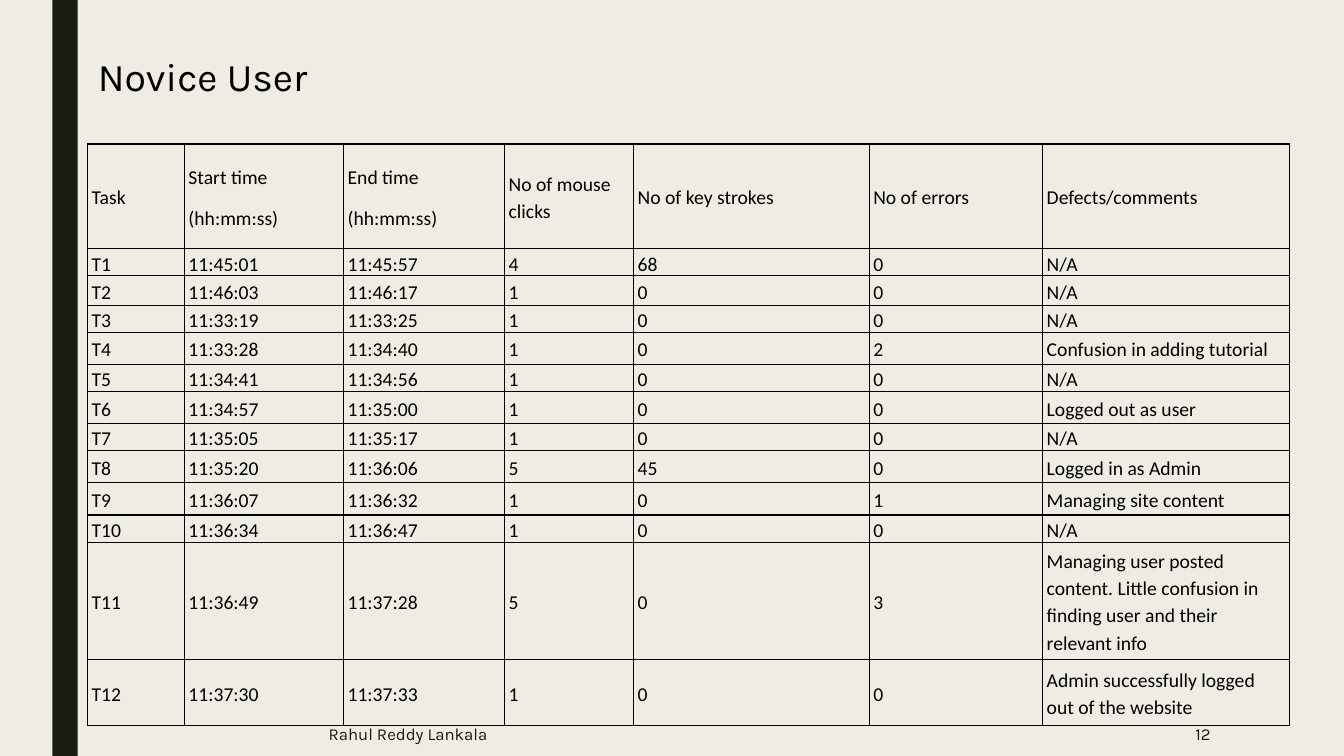
import pptx
import pptx.util
import pptx.dml.color
import pptx.enum.shapes
import pptx.enum.text
import pptx.oxml
import pptx.oxml.ns

Cm = pptx.util.Cm
Pt = pptx.util.Pt
Align = pptx.enum.text.PP_ALIGN
Anchor = pptx.enum.text.MSO_ANCHOR
Fit = pptx.enum.text.MSO_AUTO_SIZE

COLORS = {"paper": "EFEDE3", "bar": "191B0E", "ink": "000000"}

WIDTHS = [2.44, 4.01, 4.06, 3.25, 5.94, 4.37, 6.22]
HEIGHTS = [2.64, 0.61, 0.74, 0.64, 0.81, 0.64, 0.81, 0.64, 0.81, 0.81, 0.53, 2.95, 1.68]
HEADER = ["Task", "Start time\n(hh:mm:ss)", "End time\n(hh:mm:ss)", "No of mouse clicks",
          "No of key strokes", "No of errors", "Defects/comments"]
TASKS = [
    ("11:45:01", "11:45:57", 4, 68, 0, "N/A"),
    ("11:46:03", "11:46:17", 1, 0, 0, "N/A"),
    ("11:33:19", "11:33:25", 1, 0, 0, "N/A"),
    ("11:33:28", "11:34:40", 1, 0, 2, "Confusion in adding tutorial"),
    ("11:34:41", "11:34:56", 1, 0, 0, "N/A"),
    ("11:34:57", "11:35:00", 1, 0, 0, "Logged out as user"),
    ("11:35:05", "11:35:17", 1, 0, 0, "N/A"),
    ("11:35:20", "11:36:06", 5, 45, 0, "Logged in as Admin"),
    ("11:36:07", "11:36:32", 1, 0, 1, "Managing site content"),
    ("11:36:34", "11:36:47", 1, 0, 0, "N/A"),
    ("11:36:49", "11:37:28", 5, 0, 3,
     "Managing user posted content. Little confusion in finding user and their relevant info"),
    ("11:37:30", "11:37:33", 1, 0, 0, "Admin successfully logged out of the website"),
]


def paint(color):
    return pptx.dml.color.RGBColor.from_string(COLORS[color])


def write(frame, text, font="Karla", size=12, color="ink", align=Align.LEFT, line=None, after=None):
    frame.text = text
    frame.word_wrap = True
    for para in frame.paragraphs:
        para.alignment = align
        if line:
            para.line_spacing = line
        if after:
            para.space_after = Pt(after)
        for run in para.runs:
            run.font.name = font
            run.font.size = Pt(size)
            run.font.bold = False
            run.font.color.rgb = paint(color)


def border(cell):
    props = cell._tc.get_or_add_tcPr()
    for place, side in enumerate(("lnL", "lnR", "lnT", "lnB")):
        props.insert(place, pptx.oxml.parse_xml(
            f'<a:{side} {pptx.oxml.ns.nsdecls("a")} w="12700"><a:solidFill>'
            f'<a:srgbClr val="{COLORS["ink"]}"/></a:solidFill></a:{side}>'))


def add_bar(slide, left, top, width, height):
    bar = slide.shapes.add_shape(pptx.enum.shapes.MSO_SHAPE.RECTANGLE,
                                 Cm(left), Cm(top), Cm(width), Cm(height))
    bar.shadow.inherit = False
    bar.fill.solid()
    bar.fill.fore_color.rgb = paint("bar")
    bar.line.fill.background()


def add_title(slide, left, top, width, height):
    title = slide.shapes.title
    title.left, title.top = Cm(left), Cm(top)
    title.width, title.height = Cm(width), Cm(height)
    write(title.text_frame, "Novice User", size=28)
    title.text_frame.vertical_anchor = Anchor.TOP
    title.text_frame.auto_size = Fit.SHAPE_TO_FIT_TEXT


def add_log(slide, left, top, width, height):
    rows = [HEADER] + [(f"T{number}", *task) for number, task in enumerate(TASKS, 1)]
    table = slide.shapes.add_table(len(rows), len(HEADER), Cm(left), Cm(top),
                                   Cm(width), Cm(height)).table
    table.first_row = table.horz_banding = False
    for column, size in zip(table.columns, WIDTHS):
        column.width = Cm(size)
    for row, size, values in zip(table.rows, HEIGHTS, rows):
        row.height = Cm(size)
        for cell, value in zip(row.cells, values):
            cell.fill.background()
            border(cell)
            cell.margin_left = cell.margin_right = Cm(0.1)
            cell.margin_top = cell.margin_bottom = 0
            cell.vertical_anchor = Anchor.MIDDLE
            write(cell.text_frame, str(value), font="Calibri", size=14, line=1.15, after=10)


def add_footer(slide, left, top, width, height):
    parts = [("Rahul Reddy Lankala", 0, 17.45, Align.LEFT),
             ("12", width - 4.45, 4.45, Align.RIGHT)]
    for text, shift, span, align in parts:
        box = slide.shapes.add_textbox(Cm(left + shift), Cm(top), Cm(span), Cm(height))
        box.text_frame.vertical_anchor = Anchor.MIDDLE
        write(box.text_frame, text, color="bar", align=align)


def main():
    deck = pptx.Presentation()
    deck.slide_width, deck.slide_height = Cm(33.87), Cm(19.05)
    slide = deck.slides.add_slide(deck.slide_layouts[5])
    slide.background.fill.solid()
    slide.background.fill.fore_color.rgb = paint("paper")
    add_bar(slide, 1.32, 0, 0.64, 19.05)
    add_log(slide, 2.21, 3.63, sum(WIDTHS), sum(HEIGHTS))
    add_title(slide, 2.21, 1.19, 7.39, 1.45)
    add_footer(slide, 8.03, 17.93, 22.73, 1.12)
    deck.save("out.pptx")


if __name__ == "__main__":
    main()
